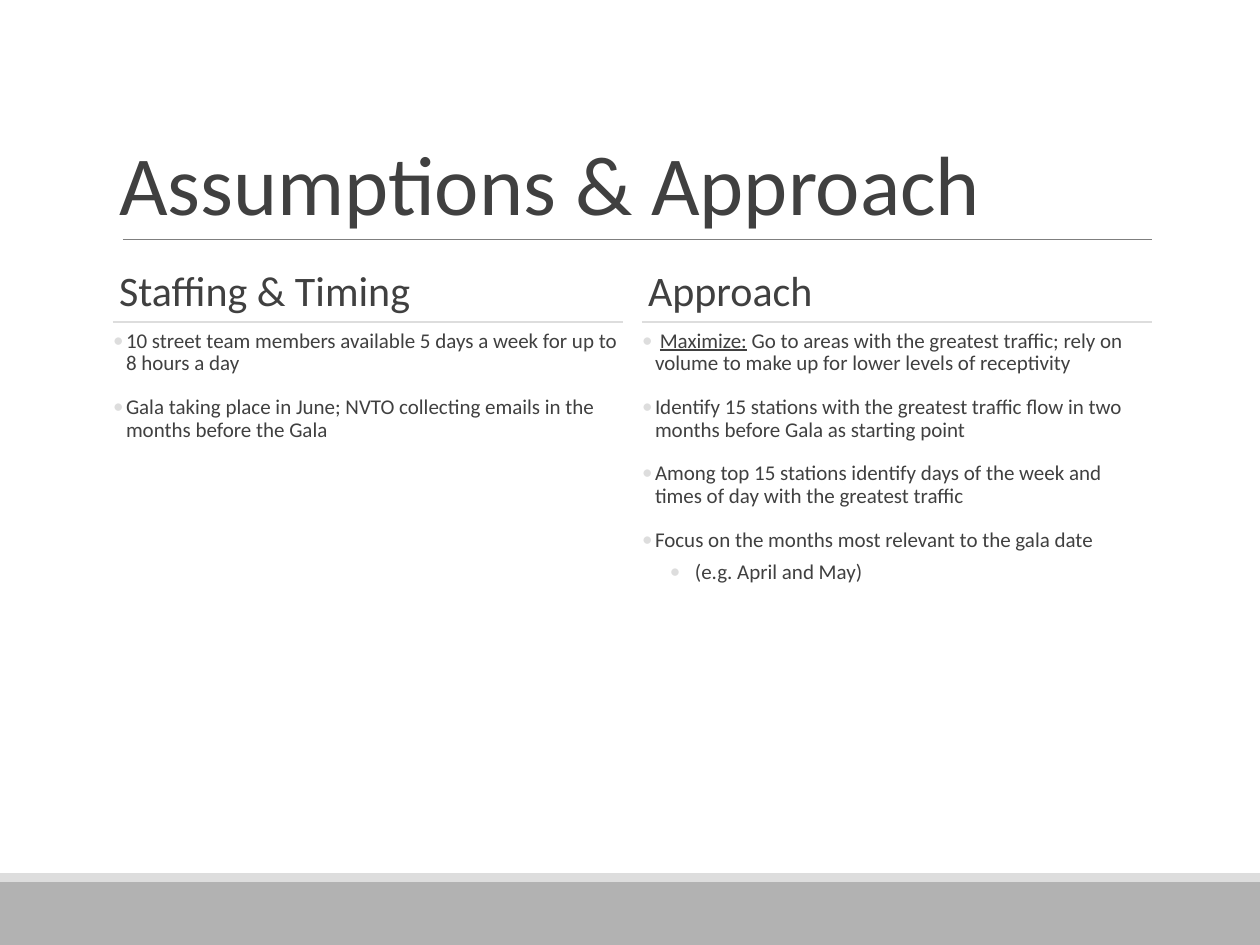
from lxml.etree import SubElement
from pptx import Presentation
from pptx.dml.color import RGBColor
from pptx.enum.shapes import MSO_CONNECTOR, MSO_SHAPE
from pptx.enum.text import MSO_ANCHOR, MSO_AUTO_SIZE, PP_ALIGN
from pptx.oxml.ns import qn
from pptx.util import Pt

# Content: a point is (level, [(text, underlined), ...])
TITLE = "Assumptions & Approach"
COLUMNS = [
    ("Staffing & Timing", [
        (0, [("10 street team members available 5 days a week for up to 8 hours a day", False)]),
        (0, [("Gala taking place in June; NVTO collecting emails in the months before the Gala", False)]),
    ]),
    ("Approach", [
        (0, [(" ", False), ("Maximize:", True),
             (" Go to areas with the greatest traffic; rely on volume to make up"
              " for lower levels of receptivity", False)]),
        (0, [("Identify 15 stations with the greatest traffic flow in two months"
              " before Gala as starting point", False)]),
        (0, [("Among top 15 stations identify days of the week and times of day"
              " with the greatest traffic", False)]),
        (0, [("Focus on the months most relevant to the gala date", False)]),
        (1, [("(e.g. April and May)", False)]),
    ]),
]

# Look
FONT = "Calibri"
HEX = {"text": "404040", "rule": "7F7F7F", "pale": "DDDDDD", "band": "B2B2B2"}
LEVELS = [  # left margin px, hanging px, line spacing, space before pt
    (13, 13, 0.9, 12),
    (53, 25, 1.0, 4),
]

# Grid in px
SCALE = 914400 / 126
WIDE, HIGH = 1260, 945
LEFT, COL, GAP = 113, 510, 19
RIGHT = LEFT + 2 * COL + GAP
PAD = 6


def px(n):
    return round(n * SCALE)


def tint(name):
    return RGBColor.from_string(HEX[name])


def place(shape, x, y, w, h):
    shape.left, shape.top, shape.width, shape.height = map(px, (x, y, w, h))


def band(slide, y, h, name):
    box = slide.shapes.add_shape(MSO_SHAPE.RECTANGLE, 0, px(y), px(WIDE), px(h))
    box.shadow.inherit = False
    box.fill.solid()
    box.fill.fore_color.rgb = tint(name)
    box.line.fill.background()


def rule(slide, x, end, y, name, size):
    line = slide.shapes.add_connector(
        MSO_CONNECTOR.STRAIGHT, px(x), px(y), px(end), px(y))
    line.line.color.rgb = tint(name)
    line.line.width = Pt(size)
    SubElement(line.element.spPr, qn("a:effectLst"))


def frame(shape, pad, anchor):
    text = shape.text_frame
    text.word_wrap = True
    text.auto_size = MSO_AUTO_SIZE.NONE
    text.vertical_anchor = anchor
    text.margin_left = text.margin_right = px(pad)
    text.margin_top = text.margin_bottom = px(pad)
    return text


def style(run, size):
    run.font.name = FONT
    run.font.size = Pt(size)
    run.font.color.rgb = tint("text")


def head(shape, words, size):
    text = frame(shape, PAD, MSO_ANCHOR.BOTTOM)
    text.text = words
    para = text.paragraphs[0]
    para.alignment = PP_ALIGN.LEFT
    para.line_spacing = 0.85
    style(para.runs[0], size)


def bullet(para, level):
    left, hang, lead, before = LEVELS[level]
    para.level = level
    para.line_spacing = lead
    para.space_before = Pt(before)
    props = para._p.get_or_add_pPr()
    props.set("marL", str(px(left)))
    props.set("indent", str(-px(hang)))
    SubElement(SubElement(props, qn("a:buClr")), qn("a:srgbClr"), val=HEX["pale"])
    SubElement(props, qn("a:buFont"), typeface=FONT)
    SubElement(props, qn("a:buChar"), char="•")


def points(shape, items):
    text = frame(shape, 0, MSO_ANCHOR.TOP)
    for i, (level, parts) in enumerate(items):
        para = text.add_paragraph() if i else text.paragraphs[0]
        bullet(para, level)
        for words, under in parts:
            run = para.add_run()
            run.text = words
            style(run, 12)
            if under:
                run.font.underline = True


def main():
    deck = Presentation()
    deck.slide_width, deck.slide_height = px(WIDE), px(HIGH)
    slide = deck.slides.add_slide(deck.slide_layouts[5])

    # Footer bands
    band(slide, 882, 63, "band")
    band(slide, 873, 9, "pale")

    # Title and its rule
    title = slide.shapes.title
    place(title, LEFT, 39, RIGHT - LEFT, 200)
    head(title, TITLE, 48)
    rule(slide, LEFT + 10, RIGHT, 239, "rule", 0.5)

    # Two columns
    for i, (name, items) in enumerate(COLUMNS):
        x = LEFT + i * (COL + GAP)
        label = slide.shapes.add_textbox(px(x), px(258), px(COL), px(63))
        head(label, name, 24)
        rule(slide, x, x + COL, 322, "pale", 1)
        body = slide.shapes.add_textbox(px(x), px(330), px(COL), px(527))
        points(body, items)

    deck.save("out.pptx")


if __name__ == "__main__":
    main()
